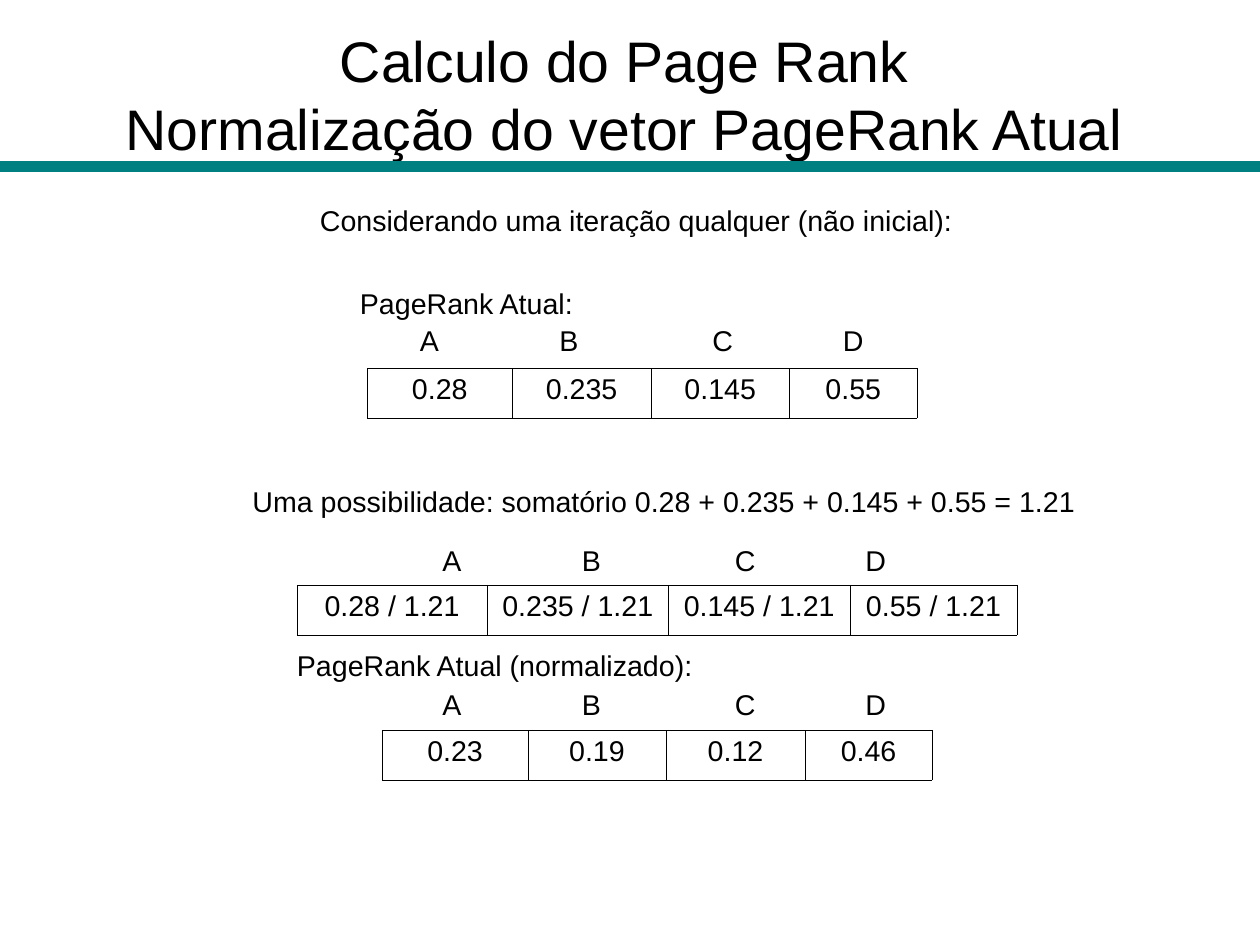
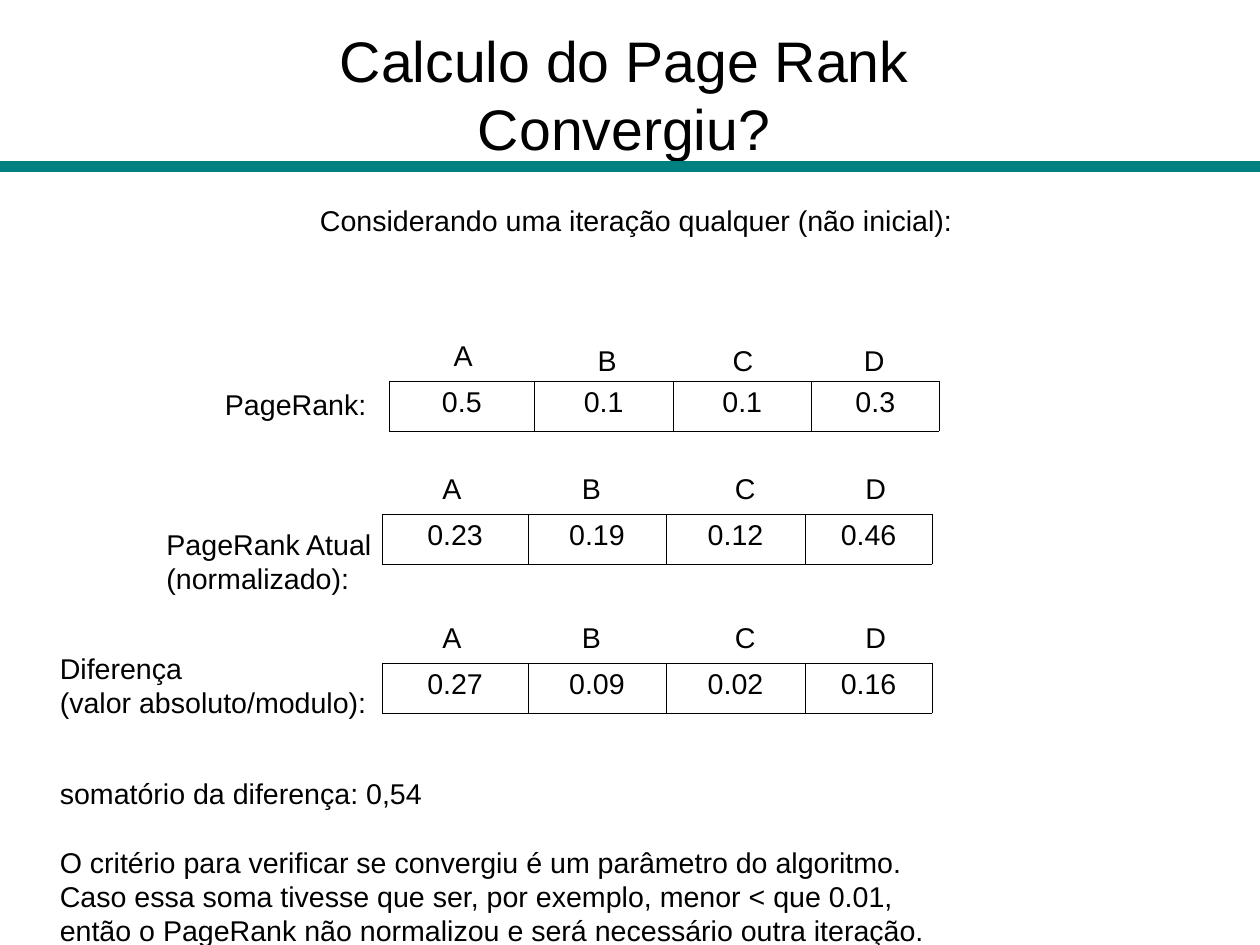
from lxml import etree
from pptx import Presentation
from pptx.dml.color import RGBColor
from pptx.enum.shapes import MSO_CONNECTOR
from pptx.enum.text import MSO_ANCHOR, PP_ALIGN
from pptx.oxml.ns import qn
from pptx.util import Cm, Pt

CENTER, LEFT = PP_ALIGN.CENTER, PP_ALIGN.LEFT
MIDDLE, TOP = MSO_ANCHOR.MIDDLE, MSO_ANCHOR.TOP
STRAIGHT = MSO_CONNECTOR.STRAIGHT

COLORS = {"text": "000000", "band": "008080", "cell": "FFFFFF", "border": "000000"}
TITLE = {"name": "Arial", "size": Pt(36)}
BODY = {"name": "Arial", "size": Pt(18)}
PAGE_WIDTH, PAGE_HEIGHT = 28, 21
BLANK_LINE = Pt(21.5)

# Vector tables: share of the width per column, and label steps from the "A" label
NODES = "ABCD"
COLUMN_SHARES = (0.264, 0.252, 0.252, 0.232)
VECTOR_LEFT, VECTOR_WIDTH, ROW_HEIGHT = 8.5, 12.22, 1.11
LABEL_STEPS = (0, 3.1, 6.5, 9.4)
LABEL_SIZE = 0.95


def rgb(key):
    return RGBColor.from_string(COLORS[key])


def style_font(font, style):
    for name, value in style.items():
        setattr(font, name, value)
    font.color.rgb = rgb("text")


def add_text(page, box, lines, style=BODY, align=LEFT, anchor=TOP, inset=(0.25, 0.13)):
    """Write one paragraph per line; return the paragraphs."""
    frame = page.shapes.add_textbox(*(Cm(length) for length in box)).text_frame
    side, edge = (Cm(length) for length in inset)
    layout = {"word_wrap": True, "vertical_anchor": anchor, "margin_left": side,
              "margin_right": side, "margin_top": edge, "margin_bottom": edge}
    for name, value in layout.items():
        setattr(frame, name, value)
    for index, line in enumerate(lines):
        para = frame.add_paragraph() if index else frame.paragraphs[0]
        para.text = line
        para.alignment = align
        for span in para.runs:
            style_font(span.font, style)
    return frame.paragraphs


def add_header(page, subtitle):
    """Title, teal band and the opening sentence."""
    add_text(page, (-0.25, 0.33, 28.24, 3.5), ["Calculo do Page Rank\v" + subtitle],
             TITLE, CENTER, MIDDLE, (0, 0))
    band = page.shapes.add_connector(STRAIGHT, 0, Cm(3.7), Cm(PAGE_WIDTH), Cm(3.7))
    band.line.color.rgb = rgb("band")
    band.line.width = Pt(7.2)
    etree.SubElement(band._element.spPr, qn("a:effectLst"))
    add_text(page, (6.86, 4.37, 15, 0.97),
             ["Considerando uma iteração qualquer (não inicial):"])


def style_cell(cell, value):
    properties = cell._tc.get_or_add_tcPr()
    for side in ("a:lnL", "a:lnR", "a:lnT", "a:lnB"):
        border = etree.SubElement(properties, qn(side), w=str(Pt(0.06)))
        fill = etree.SubElement(border, qn("a:solidFill"))
        etree.SubElement(fill, qn("a:srgbClr"), val=COLORS["border"])
    cell.fill.solid()
    cell.fill.fore_color.rgb = rgb("cell")
    cell.text = value
    para = cell.text_frame.paragraphs[0]
    para.alignment = CENTER
    style_font(para.runs[0].font, BODY)


def add_vector(page, left, top, values, label_left=1.08, label_rise=1.09,
               width=VECTOR_WIDTH, steps=LABEL_STEPS, first_lift=0):
    """One-row table with the node letters above it."""
    table = page.shapes.add_table(1, len(values), Cm(left), Cm(top),
                                  Cm(width), Cm(ROW_HEIGHT)).table
    table.first_row = table.horz_banding = False
    table.rows[0].height = Cm(ROW_HEIGHT)
    for index, (value, share) in enumerate(zip(values, COLUMN_SHARES)):
        table.columns[index].width = Cm(width * share)
        style_cell(table.cell(0, index), value)
    for index, (node, step) in enumerate(zip(NODES, steps)):
        lift = 0 if index else first_lift
        add_text(page, (left + label_left + step, top - label_rise - lift,
                        LABEL_SIZE, LABEL_SIZE), [node])


def build_normalization(page):
    add_header(page, "Normalização do vetor PageRank Atual")

    # Current vector
    add_text(page, (7.75, 6.22, 5.6, 0.97), ["PageRank Atual:"])
    add_vector(page, 8.16, 8.18, ["0.28", "0.235", "0.145", "0.55"], 0.92, 1.14)

    # Division by the sum
    add_text(page, (5.36, 10.62, 19.2, 0.97),
             ["Uma possibilidade: somatório 0.28 + 0.235 + 0.145 + 0.55 = 1.21"])
    add_vector(page, 6.6, 13, [f"{value} / 1.21" for value in
                               ("0.28", "0.235", "0.145", "0.55")],
               2.98, 1.07, width=16)

    # Normalized vector
    add_text(page, (6.35, 14.27, 9.8, 0.97), ["PageRank Atual (normalizado):"])
    add_vector(page, VECTOR_LEFT, 16.23, ["0.23", "0.19", "0.12", "0.46"])


def build_convergence(page):
    add_header(page, "Convergiu?")

    # Previous, current and difference vectors
    add_text(page, (4.75, 8.48, 3.9, 0.97), ["PageRank:"])
    add_vector(page, 8.65, 8.46, ["0.5", "0.1", "0.1", "0.3"], 1.18, 0.97,
               steps=(0, 3.2, 6.2, 9.12), first_lift=0.1)
    add_text(page, (3.45, 11.58, 5.4, 1.68), ["PageRank Atual", "(normalizado):"])
    add_vector(page, VECTOR_LEFT, 11.43, ["0.23", "0.19", "0.12", "0.46"])
    add_text(page, (1.08, 14.33, 7.6, 1.68), ["Diferença", "(valor absoluto/modulo):"])
    add_vector(page, VECTOR_LEFT, 14.73, ["0.27", "0.09", "0.02", "0.16"])

    # Conclusion
    paras = add_text(page, (1.08, 17.12, 20.2, 3.81), [
        "somatório da diferença: 0,54",
        "O critério para verificar se convergiu é um parâmetro do algoritmo.",
        "Caso essa soma tivesse que ser, por exemplo, menor < que 0.01,",
        "então o PageRank não normalizou e será necessário outra iteração."])
    paras[1].space_before = BLANK_LINE


def main():
    deck = Presentation()
    deck.slide_width, deck.slide_height = Cm(PAGE_WIDTH), Cm(PAGE_HEIGHT)
    for build in (build_normalization, build_convergence):
        build(deck.slides.add_slide(deck.slide_layouts[6]))
    deck.save("out.pptx")


if __name__ == "__main__":
    main()
